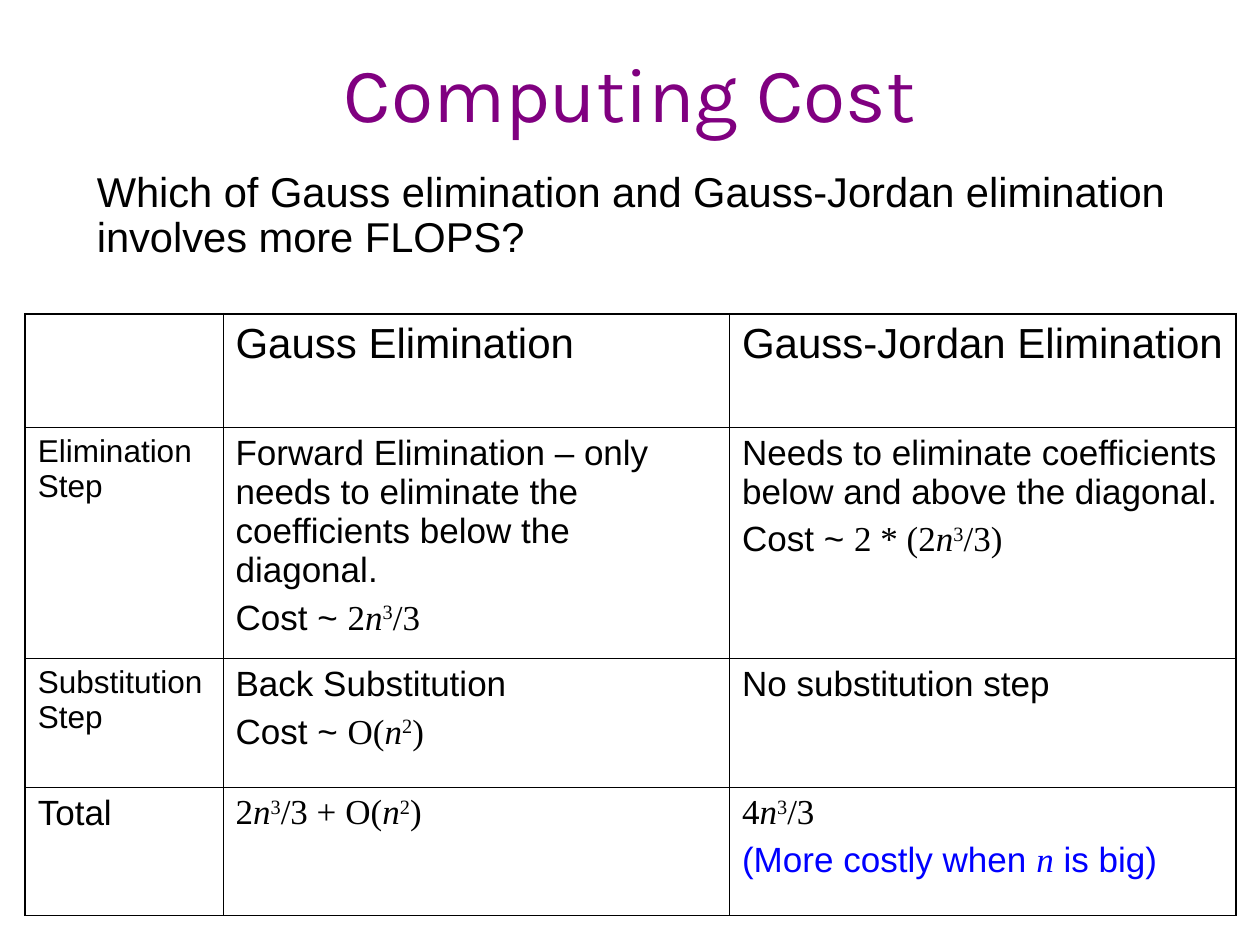
import pptx
import pptx.util
from lxml import etree
from pptx.dml.color import RGBColor
from pptx.enum.text import MSO_ANCHOR, PP_ALIGN
from pptx.oxml.ns import qn
from pptx.util import Inches, Pt

BLACK = RGBColor(0x00, 0x00, 0x00)
WHITE = RGBColor(0xFF, 0xFF, 0xFF)
PURPLE = RGBColor(0x80, 0x00, 0x80)
BLUE = RGBColor(0x00, 0x00, 0xFF)
SANS, SERIF, HEAD = "Arial", "Times New Roman", "Karla"
THIN, THICK = 0.45, 1.08


class Deck:
    def __init__(self):
        self.prs = pptx.Presentation()
        self.prs.slide_width = Inches(10)
        self.prs.slide_height = Inches(7.5)
        self.slide = self.prs.slides.add_slide(self.prs.slide_layouts[6])

    def put(self, para, text, size, color=BLACK, face=SANS):
        """Fill a paragraph; $ toggles serif math, _ italic and ^ superscript."""
        font = para.font
        font.size, font.color.rgb = Pt(size), color
        pieces = text.split("$")
        faces = {SERIF if i % 2 else face for i, piece in enumerate(pieces) if piece}
        if len(faces) == 1:
            font.name = min(faces)
        for i, piece in enumerate(pieces):
            for j, part in enumerate(piece.split("_")):
                for k, bit in enumerate(part.split("^")):
                    if not bit:
                        continue
                    run = para.add_run()
                    run.text = bit
                    if len(faces) > 1:
                        run.font.name = SERIF if i % 2 else face
                    if j % 2:
                        run.font.italic = True
                    if k % 2:
                        run.font._element.set("baseline", "30000")

    def label(self, box, text, size, color=BLACK, face=SANS):
        shape = self.slide.shapes.add_textbox(*map(Inches, box))
        shape.text_frame.word_wrap = True
        self.put(shape.text_frame.paragraphs[0], text, size, color, face)
        return shape.text_frame

    def edge(self, cell, side, width):
        props = cell._tc.get_or_add_tcPr()
        line = etree.SubElement(props, qn("a:ln" + side), w=str(int(Pt(width))))
        fill = etree.SubElement(line, qn("a:solidFill"))
        etree.SubElement(fill, qn("a:srgbClr"), val=str(BLACK))

    def table(self, box, cols, rows, data):
        frame = self.slide.shapes.add_table(len(rows), len(cols), *map(Inches, box))
        grid = frame.table
        for col, width in zip(grid.columns, cols):
            col.width = Inches(width)
        for row, height in zip(grid.rows, rows):
            row.height = Inches(height)
        for r, line in enumerate(data):
            for c, (size, *texts) in enumerate(line):
                cell = grid.cell(r, c)
                ends = {"L": c == 0, "R": c == len(cols) - 1,
                        "T": r == 0, "B": r == len(rows) - 1}
                for side, outer in ends.items():
                    self.edge(cell, side, THICK if outer else THIN)
                cell.fill.solid()
                cell.fill.fore_color.rgb = WHITE
                body = cell.text_frame
                for i, text in enumerate(texts):
                    para = body.add_paragraph() if i else body.paragraphs[0]
                    if i:
                        para.space_before = Pt(5)
                    self.put(para, text, size, BLUE if text.startswith("(") else BLACK)


DATA = [
    [(24,), (24, "Gauss Elimination"), (24, "Gauss-Jordan Elimination")],
    [(18, "Elimination Step"),
     (20, "Forward Elimination – only needs to eliminate the coefficients below the diagonal.",
      "Cost ~ $2_n_^3^/3$"),
     (20, "Needs to eliminate coefficients below and above the diagonal.",
      "Cost ~ $2 * (2_n_^3^/3)$")],
    [(18, "Substitution Step"),
     (20, "Back Substitution", "Cost ~ $O(_n_^2^)$"),
     (20, "No substitution step")],
    [(20, "Total"),
     (20, "$2_n_^3^/3 + O(_n_^2^)$"),
     (20, "$4_n_^3^/3$", "(More costly when $_n_$ is big)")],
]


def main():
    deck = Deck()
    title = deck.label((0.5, 0.3, 9, 0.85), "Computing Cost", 44, PURPLE, HEAD)
    title.vertical_anchor = MSO_ANCHOR.MIDDLE
    title.paragraphs[0].alignment = PP_ALIGN.CENTER
    ask = deck.label(
        (0.67, 1.31, 9.06, 0.94),
        "Which of Gauss elimination and Gauss-Jordan elimination involves more FLOPS?",
        23.8)
    ask.paragraphs[0].line_spacing = 0.9
    deck.table((0.2, 2.49, 9.61, 4.66), (1.57, 4.02, 4.02),
               (0.9, 1.72, 1.02, 1.02), DATA)
    deck.prs.save("out.pptx")


if __name__ == "__main__":
    main()
